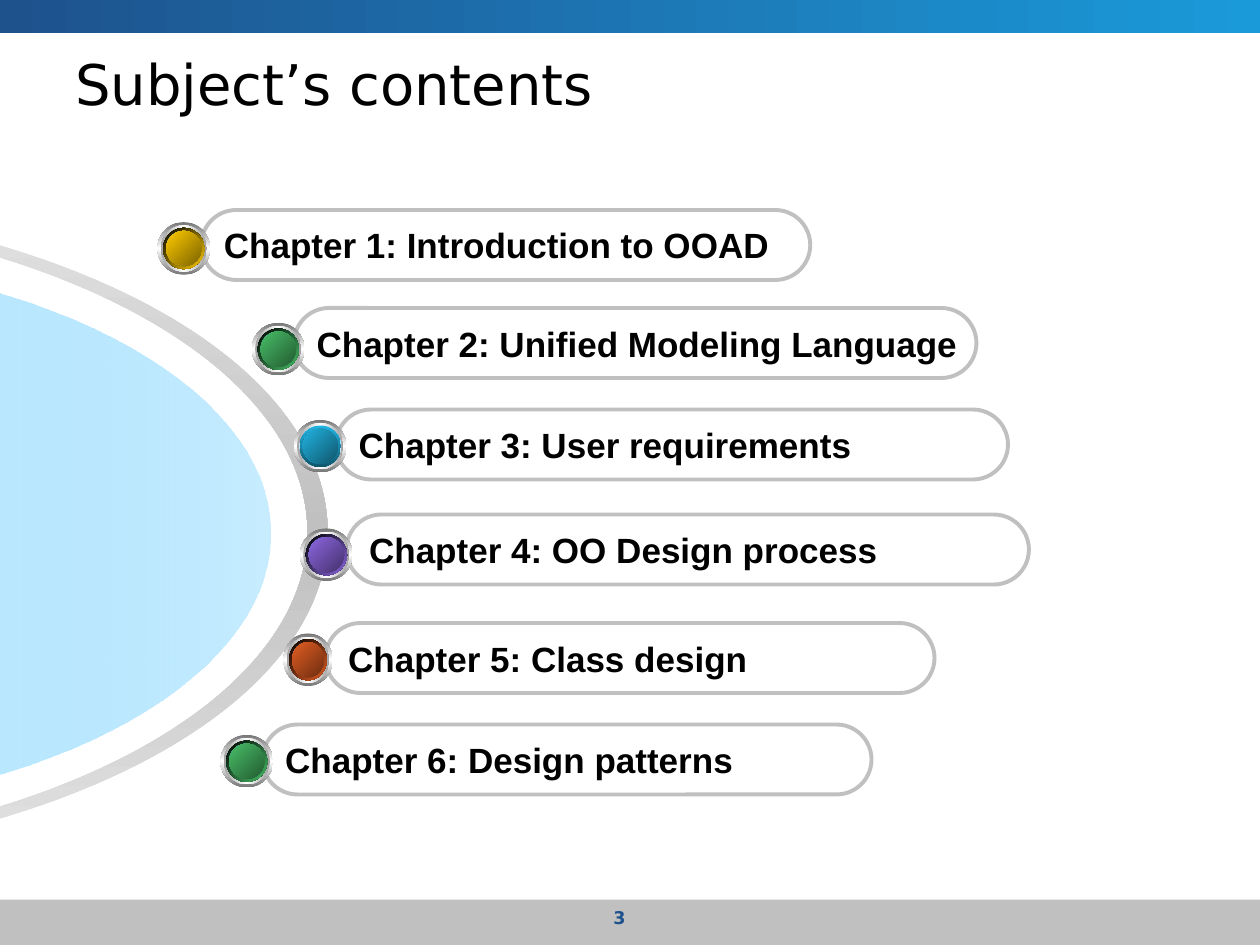
from lxml.etree import SubElement
from pptx import Presentation
from pptx.dml.color import RGBColor
from pptx.enum.shapes import MSO_SHAPE
from pptx.enum.text import MSO_ANCHOR, PP_ALIGN
from pptx.oxml.ns import qn
from pptx.util import Pt

BLACK = RGBColor(0x00, 0x00, 0x00)
WHITE = RGBColor(0xFF, 0xFF, 0xFF)
SILVER = RGBColor(0xC0, 0xC0, 0xC0)
PALE_GREY = RGBColor(0xE2, 0xE2, 0xE2)
MID_GREY = RGBColor(0xA2, 0xA2, 0xA2)
DARK_GREY = RGBColor(0x76, 0x76, 0x76)
NAVY = RGBColor(0x1D, 0x52, 0x8D)
AZURE = RGBColor(0x1B, 0x9A, 0xD9)
SKY = RGBColor(0x66, 0xCC, 0xFF)
PALE_SKY = RGBColor(0xCB, 0xEE, 0xFF)
DEEP_SKY = RGBColor(0x37, 0x6E, 0x8A)
GOLD = RGBColor(0xFF, 0xCC, 0x00)
DARK_GOLD = RGBColor(0x7C, 0x63, 0x00)
GREEN = RGBColor(0x48, 0xBE, 0x67)
DARK_GREEN = RGBColor(0x23, 0x5C, 0x32)
CYAN = RGBColor(0x21, 0xB3, 0xE1)
DARK_CYAN = RGBColor(0x10, 0x57, 0x6D)
VIOLET = RGBColor(0x8D, 0x67, 0xE1)
DARK_VIOLET = RGBColor(0x45, 0x32, 0x6D)
RUST = RGBColor(0xE3, 0x5E, 0x23)
DARK_RUST = RGBColor(0x6E, 0x2E, 0x11)

TITLE_FONT = {"name": "DejaVu Sans", "size": Pt(32), "bold": False}
CHAPTER_FONT = {"name": "Arial", "size": Pt(20), "bold": True}
NUMBER_FONT = {"name": "DejaVu Sans", "size": Pt(10), "bold": True}

PILL_HEIGHT = 40
KNOB_HEIGHT = 30

# Text, pill (left, top, width), knob (left, top, width), light and dark knob colour
CHAPTERS = [
    ("Chapter 1: Introduction to OOAD", (115, 120, 348),
     (90, 127, 30), GOLD, DARK_GOLD),
    ("Chapter 2: Unified Modeling Language", (168, 176, 390),
     (144, 184.5, 30), GREEN, DARK_GREEN),
    ("Chapter 3: User requirements", (192, 234, 384),
     (168, 240, 30), CYAN, DARK_CYAN),
    ("Chapter 4: OO Design process", (198, 294, 390),
     (171.5, 302, 30), VIOLET, DARK_VIOLET),
    ("Chapter 5: Class design", (186, 356, 348),
     (162, 362, 28), RUST, DARK_RUST),
    ("Chapter 6: Design patterns", (150, 414, 348),
     (126, 420, 30), GREEN, DARK_GREEN),
]


def points(*lengths):
    return [Pt(length) for length in lengths]


def fill_gradient(shape, colors, angle, first_alpha=None):
    """Spread the colours evenly; the angle runs clockwise from left to right."""
    shape.fill.gradient()
    gradient = shape.element.spPr.find(qn("a:gradFill"))
    stops = gradient.find(qn("a:gsLst"))
    for stop in list(stops):
        stops.remove(stop)
    for i, color in enumerate(colors):
        stop = SubElement(stops, qn("a:gs"), pos=str(100000 * i // (len(colors) - 1)))
        swatch = SubElement(stop, qn("a:srgbClr"), val=str(color))
        if i == 0 and first_alpha:
            SubElement(swatch, qn("a:alpha"), val=str(first_alpha * 1000))
    gradient.find(qn("a:lin")).set("ang", str(angle * 60000))


def add_plain(shapes, kind, box):
    shape = shapes.add_shape(kind, *points(*box))
    shape.shadow.inherit = False
    shape.line.fill.background()
    return shape


def write_text(shape, text, font_values, color, align=PP_ALIGN.LEFT,
               anchor=MSO_ANCHOR.MIDDLE, wrap=True):
    frame = shape.text_frame
    frame.word_wrap = wrap
    frame.vertical_anchor = anchor
    paragraph = frame.paragraphs[0]
    paragraph.alignment = align
    run = paragraph.add_run()
    run.text = text
    for attribute, value in font_values.items():
        setattr(run.font, attribute, value)
    run.font.color.rgb = color


def half_ellipse(left, middle, width, half_height, droop=0):
    """Two Bézier curves bulging right, from top to bottom: ends and handles."""
    right, bend = left + width, 0.55
    handle_x, handle_y = left + bend * width, bend * half_height
    return [
        (left, middle - half_height),
        (handle_x, middle - half_height + droop), (right, middle - handle_y),
        (right, middle),
        (right, middle + handle_y), (handle_x, middle + half_height - droop),
        (left, middle + half_height),
    ]


def add_curved(slide, *curves):
    """Join half ellipses, each given as ends and handles, into one outline."""
    corners = [Pt(x) for x in curves[0][0]]
    builder = slide.shapes.build_freeform(*corners)
    for i, curve in enumerate(curves):
        builder.add_line_segments(
            [points(*corner) for corner in curve[i == 0:]], close=curve is curves[-1])
    shape = builder.convert_to_shape()
    # Every three handles and ends in a row become one Bézier curve
    lines = list(shape.element.iter(qn("a:lnTo")))
    for i in range(len(curves)):
        first = 7 * i
        for start in (first, first + 3):
            bezier = lines[start].makeelement(qn("a:cubicBezTo"))
            lines[start].addprevious(bezier)
            for line in lines[start:start + 3]:
                bezier.append(line[0])
                line.getparent().remove(line)
    shape.shadow.inherit = False
    shape.line.fill.background()
    return shape


def add_bands(slide, width, height):
    footer = add_plain(slide.shapes, MSO_SHAPE.RECTANGLE, (0, height - 26, width, 26))
    footer.fill.solid()
    footer.fill.fore_color.rgb = SILVER
    header = add_plain(slide.shapes, MSO_SHAPE.RECTANGLE, (0, 0, width, 18.7))
    fill_gradient(header, [NAVY, AZURE], 0)


def add_label(slide, box, *text_format, **text_options):
    label = slide.shapes.add_textbox(*points(*box))
    write_text(label, *text_format, **text_options)


def add_dome(slide, left, middle):
    # Grey ring
    ring = add_curved(slide, half_ellipse(left, middle, 364.3, 184.3, droop=1.4),
                      half_ellipse(left, middle, 375.8, 190.1, droop=1.4)[::-1])
    fill_gradient(ring, [PALE_GREY, SILVER, PALE_GREY], 90)
    # Blue core
    core = add_curved(slide, half_ellipse(left + 33.8, middle + 1, 309.6, 158.8))
    fill_gradient(core, [SKY, PALE_SKY], 180, first_alpha=36)


def add_pill(slide, box, text):
    pill = add_plain(slide.shapes, MSO_SHAPE.ROUNDED_RECTANGLE, box)
    pill.adjustments[0] = 0.5
    pill.fill.background()
    pill.line.color.rgb = SILVER
    pill.line.width = Pt(2.25)
    write_text(pill, text, CHAPTER_FONT, BLACK, wrap=False)


def add_knob(slide, box, light, dark):
    left, top, width, height = box
    # The cyan knob has a softer rim than the others
    rim, rim_angle = ([light, dark], 90) if light == CYAN else ([BLACK, light], 45)
    layers = [
        (0, [DARK_GREY, WHITE, DARK_GREY], 90),
        (1.8, [MID_GREY, WHITE, MID_GREY], 0),
        (3.2, [WHITE, SKY, WHITE], 45),
        (3.2, rim, rim_angle),
        (4.9, [DEEP_SKY, SKY, DEEP_SKY], 315),
        (4.9, [light, dark], 45),
    ]
    knob = slide.shapes.add_group_shape()
    for inset, colors, angle in layers:
        disc = add_plain(knob.shapes, MSO_SHAPE.OVAL,
                         (left + inset, top + inset,
                          width - 2 * inset, height - 2 * inset))
        fill_gradient(disc, colors, angle)


def build_contents_slide(presentation, width, height):
    slide = presentation.slides.add_slide(presentation.slide_layouts[6])
    add_bands(slide, width, height)
    # Page number and title
    add_label(slide, (270, 514.8, 168, 20), "3", NUMBER_FONT, NAVY,
              align=PP_ALIGN.CENTER, anchor=MSO_ANCHOR.TOP)
    add_label(slide, (36, 25.2, 648, 44.6), "Subject’s contents", TITLE_FONT, BLACK)
    # Dome with the chapters around it
    add_dome(slide, -188.6, 304)
    for text, pill, knob, light, dark in CHAPTERS:
        add_pill(slide, (*pill, PILL_HEIGHT), text)
        add_knob(slide, (*knob, KNOB_HEIGHT), light, dark)


def main():
    presentation = Presentation()
    width, height = 720, 540
    presentation.slide_width, presentation.slide_height = points(width, height)
    build_contents_slide(presentation, width, height)
    presentation.save("out.pptx")


if __name__ == "__main__":
    main()
